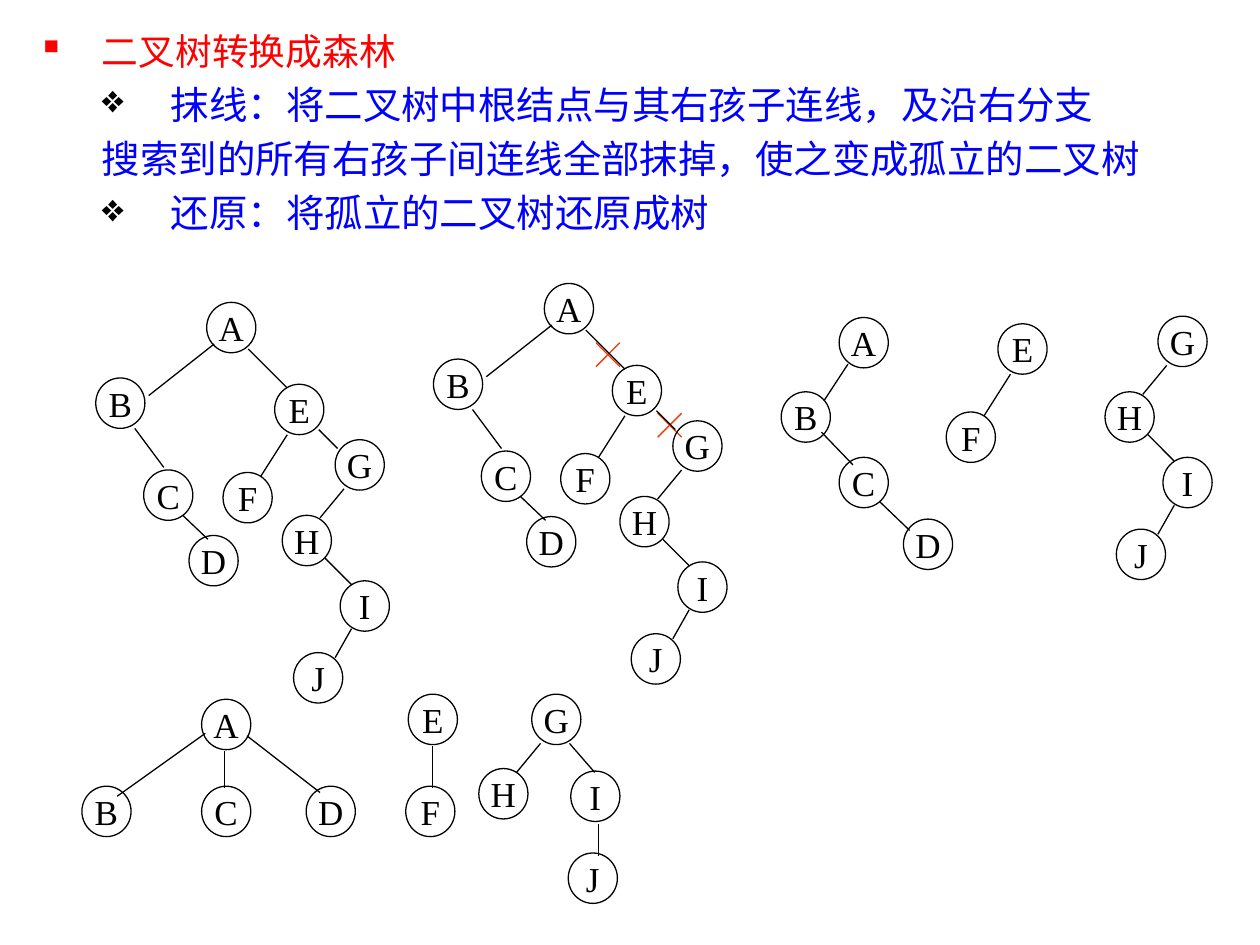
from pptx import Presentation
from pptx.dml.color import RGBColor
from pptx.enum.shapes import MSO_CONNECTOR as CONN, MSO_SHAPE as SHAPE
from pptx.enum.text import MSO_ANCHOR as ANCHOR, PP_ALIGN as ALIGN
from pptx.oxml.ns import qn
from pptx.util import Inches, Pt
from lxml.etree import SubElement

COLORS = {"black": "000000", "red": "FF0000", "blue": "0000FF", "cut": "FF3300"}
RGB = {name: RGBColor.from_string(value) for name, value in COLORS.items()}
CJK, LATIN = "Noto Sans CJK SC", "Times New Roman"
NODE_W, NODE_H = 0.39, 0.4

# Each tree: node label -> top-left corner, then edges as x1, y1, x2, y2
LEFT = ({"A": (1.64, 2.4), "B": (0.76, 3), "C": (1.14, 3.73), "D": (1.5, 4.25)},
        [(1.07, 3.4, 1.3, 3.71), (1.45, 4.09, 1.65, 4.28), (1.7, 2.73, 1.18, 3.14)])
PAIR = ({"E": (2.18, 3.05), "F": (1.77, 3.75)}, [(2.28, 3.45, 2.07, 3.78)])
CHAIN = ({"G": (2.66, 3.49), "H": (2.24, 4.09), "I": (2.7, 4.61), "J": (2.33, 5.18)},
         [(2.73, 3.88, 2.54, 4.11), (2.58, 4.43, 2.79, 4.64), (2.79, 4.99, 2.66, 5.22)])
RIGHT_BRANCH = ({}, [(1.97, 2.77, 2.28, 3.08), (2.53, 3.41, 2.68, 3.56)])
BINARY = [LEFT, PAIR, CHAIN, RIGHT_BRANCH]

SPLIT_A = ({"A": (6.66, 2.52), "B": (6.2, 3.11), "C": (6.66, 3.63), "D": (7.17, 4.12)},
           [(6.73, 2.89, 6.54, 3.18), (6.52, 3.43, 6.77, 3.69), (6.98, 3.98, 7.22, 4.21)])

FOREST = [
    ({"A": (1.6, 5.55), "B": (0.65, 6.24), "C": (1.6, 6.24), "D": (2.43, 6.24)},
     [(1.78, 5.96, 1.78, 6.25), (1.63, 5.82, 0.93, 6.32), (1.96, 5.84, 2.54, 6.29)]),
    ({"E": (3.24, 5.51), "F": (3.22, 6.24)}, [(3.43, 5.92, 3.43, 6.25)]),
    ({"G": (4.22, 5.51), "H": (3.8, 6.1), "I": (4.53, 6.12), "J": (4.51, 6.77)},
     [(4.29, 5.9, 4.1, 6.13), (4.52, 5.9, 4.72, 6.13), (4.75, 6.54, 4.75, 6.79)]),
]


def add_line(shapes, x1, y1, x2, y2, color="black"):
    line = shapes.add_connector(CONN.STRAIGHT, Inches(x1), Inches(y1), Inches(x2), Inches(y2))
    line.line.color.rgb = RGB[color]
    line.line.width = Pt(0.75)
    SubElement(line._element.spPr, qn("a:effectLst"))


def add_tree(shapes, tree, dx=0, dy=0):
    nodes, edges = tree
    for label, (x, y) in nodes.items():
        sp = shapes.add_shape(SHAPE.OVAL, Inches(x + dx), Inches(y + dy),
                              Inches(NODE_W), Inches(NODE_H))
        sp.shadow.inherit = False
        sp.fill.background()
        sp.line.color.rgb = RGB["black"]
        sp.line.width = Pt(0.75)
        tf = sp.text_frame
        tf.word_wrap = False
        tf.vertical_anchor = ANCHOR.MIDDLE
        p = tf.paragraphs[0]
        p.alignment = ALIGN.CENTER
        r = p.add_run()
        r.text = label
        r.font.name, r.font.size = LATIN, Pt(20)
        r.font.color.rgb = RGB["black"]
    for x1, y1, x2, y2 in edges:
        add_line(shapes, x1 + dx, y1 + dy, x2 + dx, y2 + dy)


prs = Presentation()
prs.slide_width, prs.slide_height = Inches(10), Inches(7.5)
s = prs.slides.add_slide(prs.slide_layouts[6])

# Explanation: text, level, size, color, bullet, bullet color
PARAGRAPHS = [
    ("二叉树转换成森林", 0, 21, "red", "▪", "red"),
    (" 抹线：将二叉树中根结点与其右孩子连线，及沿右分支", 1, 22, "blue", "❖", "black"),
    ("搜索到的所有右孩子间连线全部抹掉，使之变成孤立的二叉树", 1, 22, "blue", None, None),
    (" 还原：将孤立的二叉树还原成树", 1, 22, "blue", "❖", "black"),
]
INDENTS = [(0.51, -0.51), (0.99, -0.48)]
tf = s.shapes.add_textbox(Inches(0.2), Inches(0.14), Inches(9.8), Inches(1.86)).text_frame
tf.word_wrap = True
for i, (text, level, size, color, bullet, bullet_color) in enumerate(PARAGRAPHS):
    p = tf.paragraphs[0] if i == 0 else tf.add_paragraph()
    p.level = level
    p.line_spacing = Pt(26.5 if i else 28)
    p.space_before = Pt(4.4 if i else 0)
    pPr = p._p.get_or_add_pPr()
    margin, indent = INDENTS[level]
    pPr.set("marL", str(Inches(margin)))
    pPr.set("indent", str(Inches(indent)))
    if bullet:
        SubElement(SubElement(pPr, qn("a:buClr")), qn("a:srgbClr"), val=COLORS[bullet_color])
        SubElement(pPr, qn("a:buChar"), char=bullet)
    else:
        SubElement(pPr, qn("a:buNone"))
    r = p.add_run()
    r.text = text
    r.font.name, r.font.size = CJK, Pt(size)
    r.font.color.rgb = RGB[color]
    SubElement(r._r.get_or_add_rPr(), qn("a:ea"), typeface=CJK)

# Binary tree
group = s.shapes.add_group_shape().shapes
for tree in BINARY:
    add_tree(group, tree)

# Same tree with the right branch crossed out
group = s.shapes.add_group_shape().shapes
CROSS = 0.19
for x, y in [(4.73, 2.72), (5.22, 3.28)]:
    add_line(group, x, y, x + CROSS, y + CROSS, "cut")
    add_line(group, x + CROSS, y, x, y + CROSS, "cut")
for tree in BINARY:
    add_tree(group, tree, 2.68, -0.15)

# Separate binary trees
group = s.shapes.add_group_shape().shapes
add_tree(group, SPLIT_A)
add_tree(group, PAIR, 5.74, -0.48)
add_tree(group, CHAIN, 6.53, -0.98)

# Restored forest
group = s.shapes.add_group_shape().shapes
for tree in FOREST:
    add_tree(group, tree)

prs.save("out.pptx")
